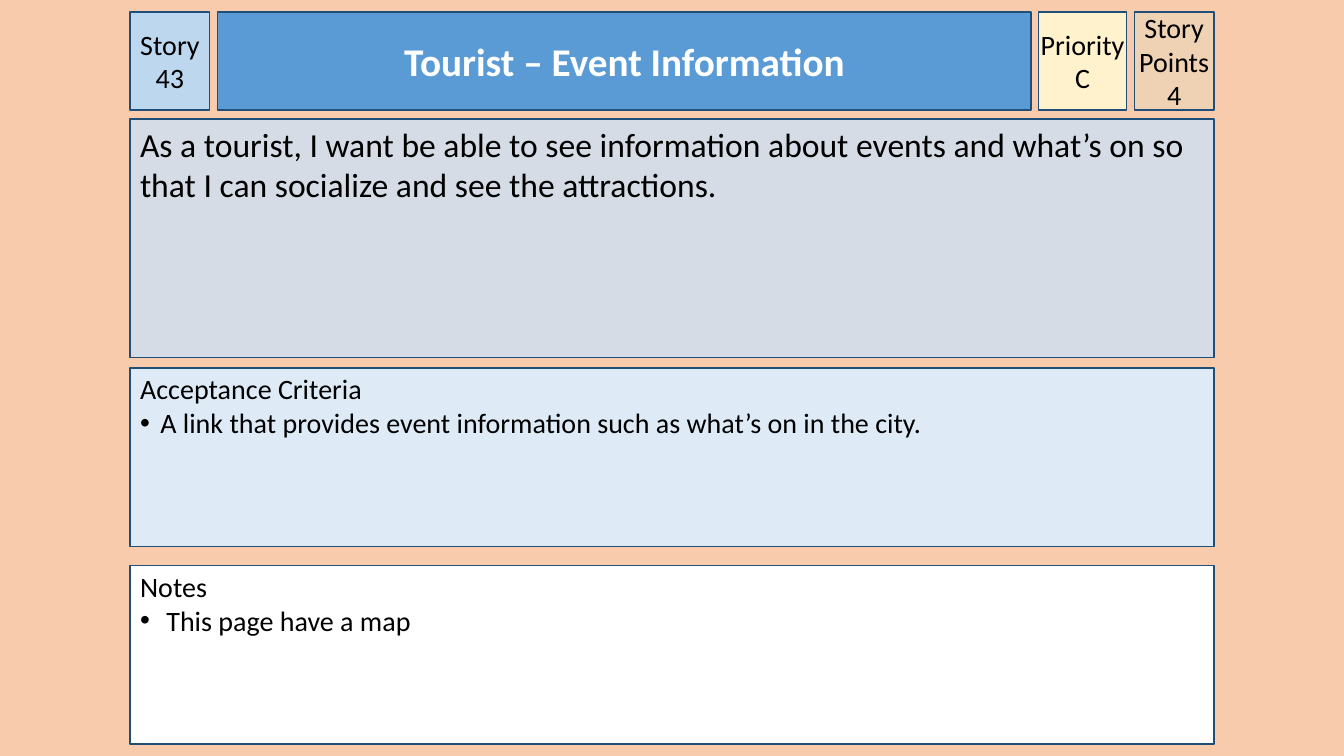
from lxml.etree import SubElement
from pptx import Presentation
from pptx.dml.color import RGBColor
from pptx.enum.shapes import MSO_SHAPE
from pptx.enum.text import MSO_ANCHOR, MSO_AUTO_SIZE, PP_ALIGN
from pptx.oxml.ns import qn
from pptx.util import Inches, Pt

FONT = "Calibri"
LEFT, WIDTH = 1.29, 10.75
HEADER_WIDTHS = [0.79, 8.07, 0.87, 0.79]
TWO_CONTENT = 3


def color(hex_code):
    return RGBColor.from_string(hex_code)


def style_box(shape, box, fill, margins=(0.1, 0.05), anchor=MSO_ANCHOR.TOP, wrap=True):
    """Place a shape or placeholder and give it the card's fill, border and margins."""
    shape.left, shape.top, shape.width, shape.height = map(Inches, box)
    shape.fill.solid()
    shape.fill.fore_color.rgb = color(fill)
    shape.line.color.rgb = color("1F4E79")
    shape.line.width = Pt(1)
    frame = shape.text_frame
    frame.auto_size = MSO_AUTO_SIZE.NONE
    frame.word_wrap = wrap
    frame.vertical_anchor = anchor
    frame.margin_left = frame.margin_right = Inches(margins[0])
    frame.margin_top = frame.margin_bottom = Inches(margins[1])


def add_box(page, box, fill, **options):
    shape = page.shapes.add_shape(MSO_SHAPE.RECTANGLE, *map(Inches, box))
    shape.shadow.inherit = False
    style_box(shape, box, fill, **options)
    return shape


def set_indent(para, hang):
    """Bullet with a hanging indent, or a flush line when hang is zero."""
    properties = para._p.get_or_add_pPr()
    properties.set("marL", str(Inches(hang)))
    properties.set("indent", str(-Inches(hang)))
    if hang:
        SubElement(properties, qn("a:buFont"), typeface="Arial")
        SubElement(properties, qn("a:buChar"), char="•")
    else:
        SubElement(properties, qn("a:buNone"))


def write_lines(shape, lines, size, align=PP_ALIGN.LEFT, ink="000000", bold=False, hang=0):
    """Write one paragraph per line; lines after the first hang when asked."""
    frame = shape.text_frame
    for index, line in enumerate(lines):
        para = frame.add_paragraph() if index else frame.paragraphs[0]
        set_indent(para, hang if index else 0)
        para.alignment = align
        para.space_before = Pt(0)
        para.line_spacing = 1.0
        span = para.add_run()
        span.text = line
        span.font.name = FONT
        span.font.size = Pt(size)
        span.font.bold = bold
        span.font.color.rgb = color(ink)


def add_header(page, box):
    """Story number, title, priority and points, side by side."""
    left, top, width, height = box
    gap = (width - sum(HEADER_WIDTHS)) / (len(HEADER_WIDTHS) - 1)
    cells = []
    for cell_width in HEADER_WIDTHS:
        cells.append((left, top, cell_width, height))
        left += cell_width + gap
    number_cell, title_cell, priority_cell, points_cell = cells

    style_box(page.shapes.title, title_cell, "5B9BD5", anchor=MSO_ANCHOR.MIDDLE)
    write_lines(page.shapes.title, ["Tourist – Event Information"], 28,
                PP_ALIGN.CENTER, "FFFFFF", bold=True)

    badges = [
        (number_cell, "BDD7EE", ["Story 43"], True),
        (priority_cell, "FFF2CC", ["Priority", "C"], False),
        (points_cell, "CCF0CD", ["Story Points", "4"], True),
    ]
    for cell, fill, lines, wrap in badges:
        badge = add_box(page, cell, fill, margins=(0, 0.05),
                        anchor=MSO_ANCHOR.MIDDLE, wrap=wrap)
        write_lines(badge, lines, 20, PP_ALIGN.CENTER)

    # The points badge lets the background show through
    fill_color = badge.fill._xPr.find(qn("a:solidFill"))[0]
    SubElement(fill_color, qn("a:alpha"), val="20000")


def add_story(page, box):
    story = add_box(page, box, "D6DCE5")
    write_lines(story, ["As a tourist, I want be able to see information about events and "
                        "what’s on so that I can socialize and see the attractions."], 24)


def fill_list(placeholder, box, fill, lines, hang):
    """Heading line followed by bullets."""
    style_box(placeholder, box, fill, margins=(0.1, 0.04))
    write_lines(placeholder, lines, 20, hang=hang)


def main():
    deck = Presentation()
    deck.slide_width, deck.slide_height = Inches(13.33), Inches(7.5)
    page = deck.slides.add_slide(deck.slide_layouts[TWO_CONTENT])
    page.background.fill.solid()
    page.background.fill.fore_color.rgb = color("F8CBAD")

    # Rows of the story card, top to bottom
    add_header(page, (LEFT, 0.12, WIDTH, 0.97))
    add_story(page, (LEFT, 1.18, WIDTH, 2.37))
    criteria, notes = list(page.placeholders)[1:]
    fill_list(criteria, (LEFT, 3.65, WIDTH, 1.77), "DEEBF7",
              ["Acceptance Criteria",
               "A link that provides event information such as what’s on in the city."], 0.2)
    fill_list(notes, (LEFT, 5.61, WIDTH, 1.77), "FFFFFF",
              ["Notes", "This page have a map"], 0.26)

    deck.save("out.pptx")


if __name__ == "__main__":
    main()
